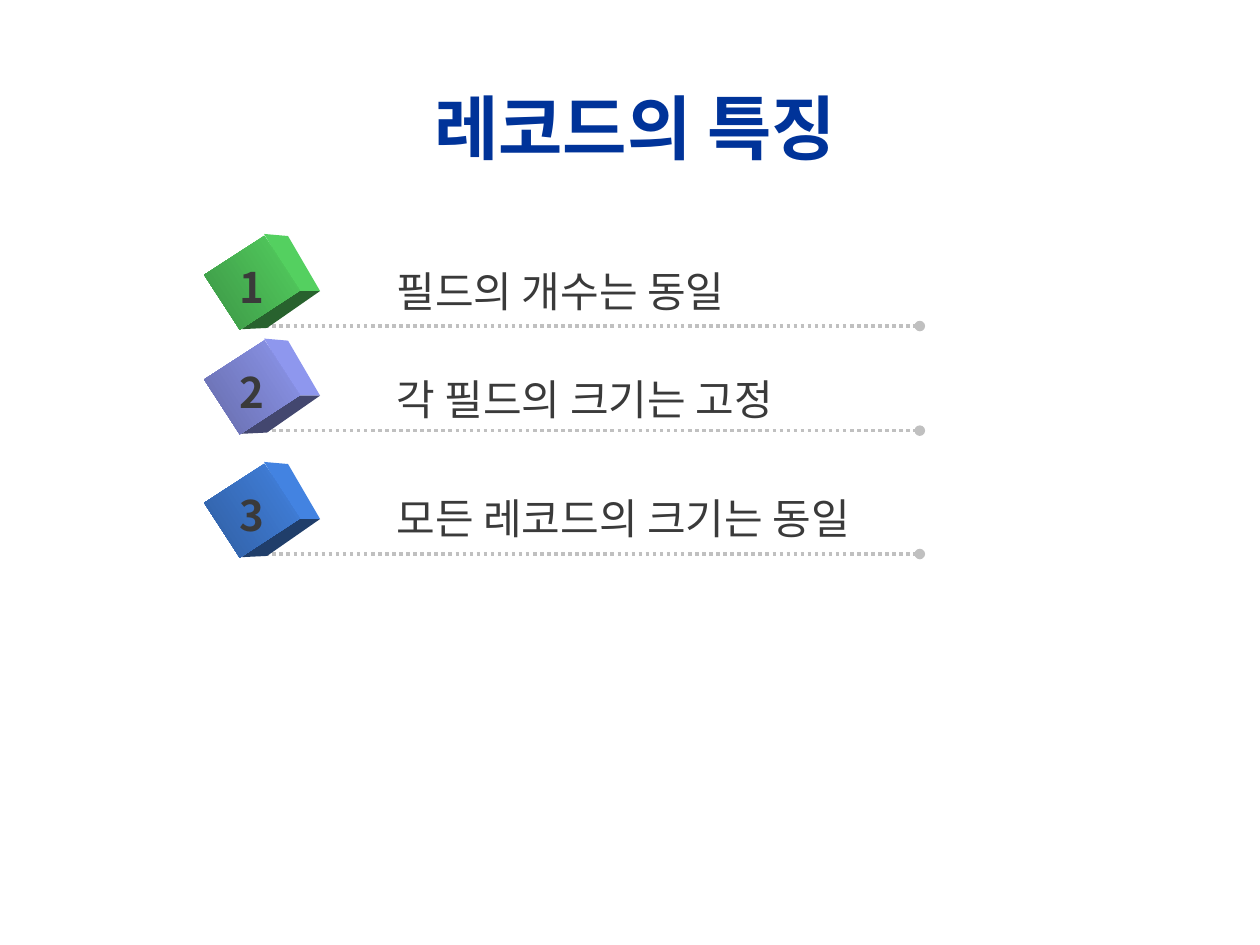
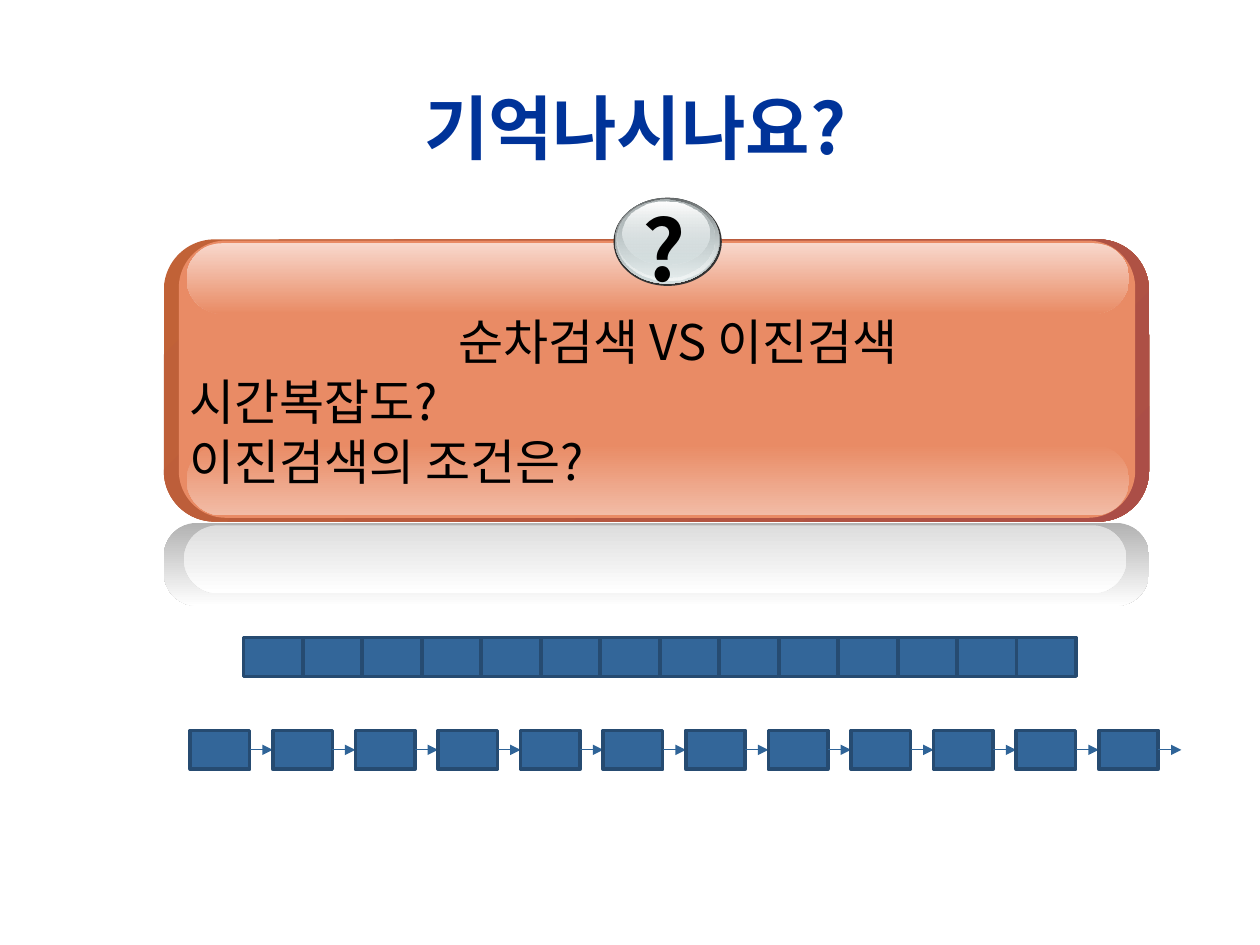
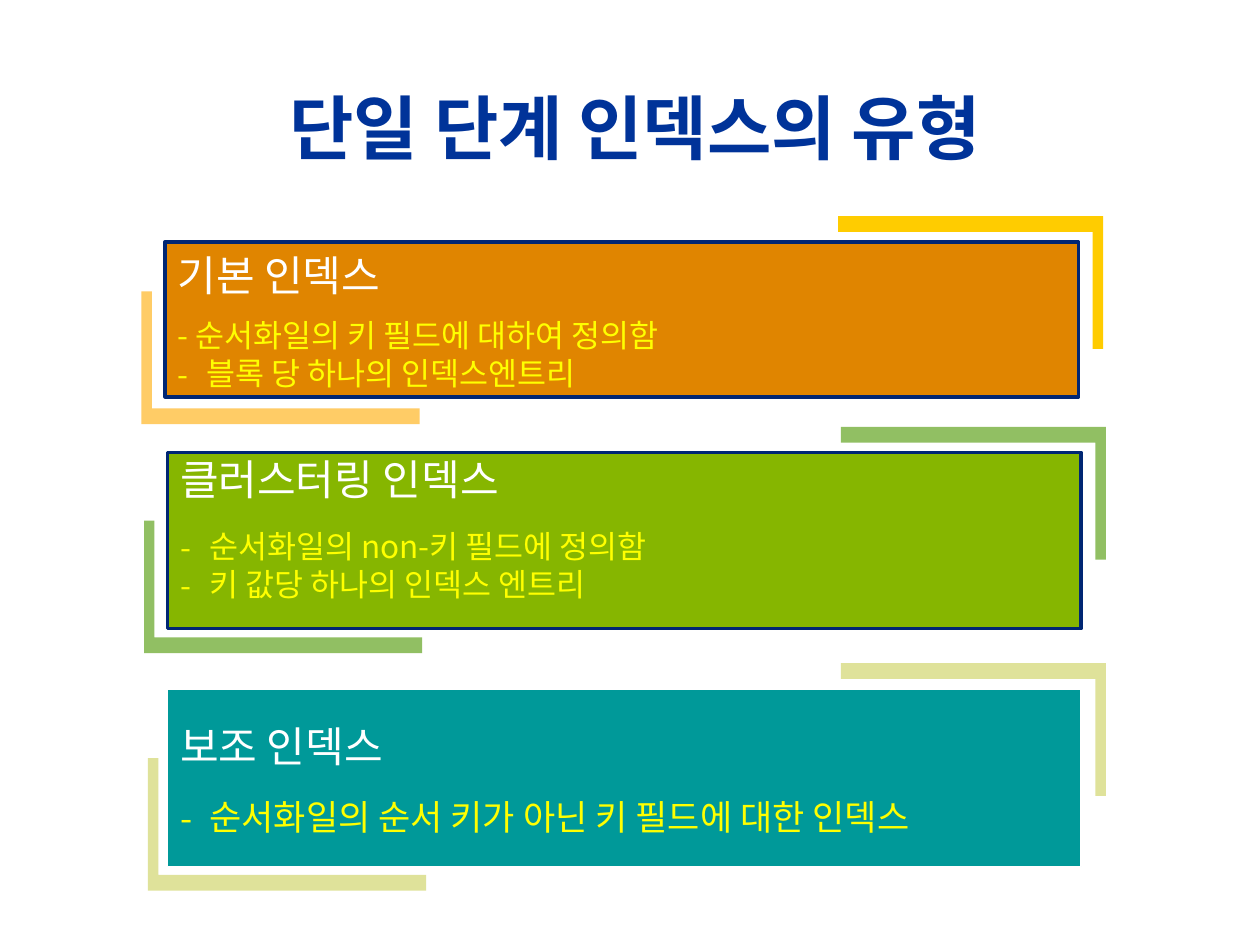
from lxml import etree
from pptx import Presentation
from pptx.dml.color import RGBColor
from pptx.enum.dml import MSO_LINE
from pptx.enum.shapes import MSO_CONNECTOR, MSO_SHAPE
from pptx.enum.text import MSO_ANCHOR, PP_ALIGN
from pptx.oxml.ns import qn
from pptx.util import Pt

RECT, ROUND, OVAL = MSO_SHAPE.RECTANGLE, MSO_SHAPE.ROUNDED_RECTANGLE, MSO_SHAPE.OVAL
DOTS = MSO_LINE.ROUND_DOT
STRAIGHT = MSO_CONNECTOR.STRAIGHT
TOP, MIDDLE = MSO_ANCHOR.TOP, MSO_ANCHOR.MIDDLE
LEFT, CENTER = PP_ALIGN.LEFT, PP_ALIGN.CENTER

FONT = "Noto Sans CJK KR"
HEX = {
    "title": "003399", "ink": "3A3A3A", "black": "000000", "white": "FFFFFF",
    "yellow": "FFFF00", "dots": "C0C0C0", "navy": "002673",
    "cell": "336699", "edge": "264B71", "arrow": "2F6498",
    "coral": "E98B65", "ring": "333333",
}

# Slide 1: text, row top, text top, light, mid and dark cube colours
TRAITS = [
    ("필드의 개수는 동일", 141.1, 146.2, "54D060", "3C9545", "28622E"),
    ("각 필드의 크기는 고정", 200.9, 208.1, "8E97EE", "666CAA", "43476F"),
    ("모든 레코드의 크기는 동일", 271.4, 275.8, "4383E1", "305EA1", "203E6A"),
]
# Cube sides, measured from the left edge of the slide and the row top
SIDES = [
    [(150.9, -7.4), (164.6, -6.2), (182.9, 25.2), (170, 25.2)],
    [(138, 47), (170, 25.2), (182.9, 25.2), (152.6, 46.3)],
]

# Slide 2: (left, top, width, height), corner, fill, gradient angle
# A gradient stop is a colour with an optional opacity in per cent
PANEL = [
    ((93.6, 136.8, 563, 161.3), 0.18, [("C16237",), ("AB4E47",)], 45),
    ((102.2, 137.5, 546.5, 158.4), 0.17, HEX["coral"], 0),
    ((106.6, 254.2, 538.6, 40.3), 0.5, [(HEX["coral"],), ("F2BCA6",)], 90),
    ((106.6, 139, 538.6, 40.3), 0.5, [("F8D8CC",), (HEX["coral"],)], 90),
    ((93.6, 298.8, 563, 47.5), 0.4, [("B2B2B2",), (HEX["white"],)], 90),
    ((105.1, 300.2, 538.6, 38.9), 0.5, [("DDDDDD",), (HEX["white"],)], 90),
]
BADGE = [
    ((350.6, 113, 61.9, 50.4), HEX["ring"]),
    ((351.4, 113, 59.8, 49), [("636869",), ("D6E1E2",)]),
    ((352.1, 113, 58.3, 47.5), [("D6E1E2", 0), ("F1F5F5",)]),
    ((352.8, 113.8, 55.4, 44.6), [("AAB2B3",), ("D6E1E2", 48)]),
    ((355.7, 115.2, 49.7, 36), [("FFFFFF",), ("D6E1E2", 38)]),
]
ASKS = [("순차검색 VS 이진검색", 161.5), ("시간복잡도?", 7.8), ("이진검색의 조건은?", 7.8)]
CELLS, NODES = 14, 12
CELL_W, CELL_H = 34, 22.2

# Slide 3: box, fill, edge, text inset, gap under head, head, item size, items
# An item is (text, has a bullet); then lower and upper bracket places
KINDS = [
    dict(box=(94.3, 138.2, 522, 88.6), fill="E08500", edge=(HEX["navy"], 2),
         inset=4, gap=8.5, head="기본 인덱스", size=18,
         items=[("- 순서화일의 키 필드에 대하여 정의함", False),
                ("블록 당 하나의 인덱스엔트리", True)],
         low=(80.8, 166.6, "FFCC66"), high=(479, 123.6, "FFCC00")),
    dict(box=(95.8, 258.5, 522, 100.8), fill="86B600", edge=(HEX["navy"], 2),
         inset=0, gap=12.8, head="클러스터링 인덱스", size=18,
         items=[("순서화일의 non-키 필드에 정의함", True),
                ("키 값당 하나의 인덱스 엔트리", True)],
         low=(82.3, 297.5, "91BF63"), high=(480.5, 244, "91BF63")),
    dict(box=(95.8, 393.8, 522, 101.5), fill="009999", edge=(HEX["white"], 0.75),
         inset=17.7, gap=13.2, head="보조 인덱스", size=20,
         items=[("순서화일의 순서 키가 아닌 키 필드에 대한 인덱스", True)],
         low=(84.5, 433.2, "DFE29A"), high=(480.5, 379, "DFE29A")),
]


def rgb(code):
    return RGBColor.from_string(code)


def pts(*nums):
    return [Pt(n) for n in nums]


def paint(shape, fill, angle=90, line=None):
    """Fill with a colour or a list of gradient stops; line is (colour, width)."""
    shape.shadow.inherit = False
    if isinstance(fill, str):
        shape.fill.solid()
        shape.fill.fore_color.rgb = rgb(fill)
    else:
        shape.fill.gradient()
        shape.fill.gradient_angle = 360 - angle
        nodes = shape.element.iter(qn("a:gs"))
        for stop, node, (code, *alpha) in zip(shape.fill.gradient_stops, nodes, fill):
            stop.color.rgb = rgb(code)
            if alpha:
                mark = etree.SubElement(node[0], qn("a:alpha"))
                mark.set("val", str(alpha[0] * 1000))
    if line:
        shape.line.color.rgb = rgb(line[0])
        shape.line.width = Pt(line[1])
    else:
        shape.line.fill.background()


def add_form(slide, kind, box, fill, angle=90, line=None):
    shape = slide.shapes.add_shape(kind, *pts(*box))
    paint(shape, fill, angle, line)
    return shape


def add_poly(slide, spots, fill):
    first, *rest = [pts(*spot) for spot in spots]
    pen = slide.shapes.build_freeform(*first)
    pen.add_line_segments(rest)
    paint(pen.convert_to_shape(), fill)


def add_line(slide, ends, color, width, tail, dash=None):
    line = slide.shapes.add_connector(STRAIGHT, *pts(*ends))
    line.line.color.rgb = rgb(color)
    line.line.width = Pt(width)
    if dash:
        line.line.dash_style = dash
    props = line.element.spPr
    etree.SubElement(props.get_or_add_ln(), qn("a:tailEnd")).set("type", tail)
    etree.SubElement(props, qn("a:effectLst"))


def write(par, text, size, color, bold=False, lead=1.22, align=LEFT):
    """Add one run; lead is the line pitch as a share of the size."""
    par.alignment = align
    par.line_spacing = Pt(round(size * lead, 1))
    run = par.add_run()
    run.text = text
    font = run.font
    font.name, font.size, font.bold = FONT, Pt(size), bold
    font.color.rgb = rgb(color)
    east = etree.SubElement(run._r.get_or_add_rPr(), qn("a:ea"))
    east.set("typeface", FONT)


def indent(par, left, bullet=False):
    props = par._p.get_or_add_pPr()
    props.set("marL", str(Pt(left)))
    props.set("indent", str(-Pt(left) if bullet else 0))
    if bullet:
        etree.SubElement(props, qn("a:buFont")).set("typeface", FONT)
        etree.SubElement(props, qn("a:buChar")).set("char", "-")


def add_label(slide, box, text, size, color, bold=False):
    frame = slide.shapes.add_textbox(*pts(*box)).text_frame
    frame.word_wrap = False
    write(frame.paragraphs[0], text, size, color, bold, 1.28)


def add_slide(deck, text):
    slide = deck.slides.add_slide(deck.slide_layouts[5])
    title = slide.shapes.title
    title.left, title.top, title.width, title.height = pts(54, 48.2, 617.8, 41.8)
    title.text_frame.vertical_anchor = MIDDLE
    write(title.text_frame.paragraphs[0], text, 40, HEX["title"], True, 1.37, CENTER)
    return slide


def add_traits(deck):
    slide = add_slide(deck, "레코드의 특징")
    for num, (text, top, text_top, light, mid, dark) in enumerate(TRAITS, 1):
        base = top + 45.2
        add_line(slide, (147.6, base, 525.6, base), HEX["dots"], 2, "oval", DOTS)
        for side, fill in zip(SIDES, (light, dark)):
            add_poly(slide, [(x, top + y) for x, y in side], fill)
        face = add_form(slide, RECT, (125.3, top, 37.4, 41), [(light,), (mid,)])
        face.rotation = 57
        add_label(slide, (219.6, text_top, 305, 36.7), text, 24, HEX["ink"])
        add_label(slide, (129.6, top + 2.9, 29.5, 36.7), str(num), 24, HEX["ink"], True)


def add_quiz(deck):
    slide = add_slide(deck, "기억나시나요?")
    for box, corner, fill, angle in PANEL:
        add_form(slide, ROUND, box, fill, angle).adjustments[0] = corner
    frame = slide.shapes.add_textbox(*pts(93.6, 174, 538.6, 105.8)).text_frame
    frame.word_wrap = True
    for num, (text, left) in enumerate(ASKS):
        par = frame.add_paragraph() if num else frame.paragraphs[0]
        indent(par, left)
        write(par, text, 28, HEX["black"])
    for box, fill in BADGE:
        add_form(slide, OVAL, box, fill)
    add_label(slide, (360, 105.8, 41.8, 65.5), "?", 48, HEX["black"], True)

    edge = (HEX["edge"], 2)
    for col in range(CELLS):
        box = (139 + col * CELL_W, 364.3, CELL_W, CELL_H)
        add_form(slide, RECT, box, HEX["cell"], line=edge)
    step, top = 47.2, 417.4
    mid = top + CELL_H / 2
    for col in range(NODES):
        left = 108.7 + col * step
        add_form(slide, RECT, (left, top, CELL_W, CELL_H), HEX["cell"], line=edge)
        ends = (left + CELL_W, mid, left + step, mid)
        add_line(slide, ends, HEX["arrow"], 0.75, "triangle")


def add_bracket(slide, place, width, turned=False):
    """Draw a corner at lower left, or at upper right if turned."""
    left, top, fill = place
    high, thin, thick = 75.8, 6, 9
    spots = [(0, 0), (0, high), (width, high), (width, high - thick),
             (thin, high - thick), (thin, 0)]
    if turned:
        spots = [(width - x, high - y) for x, y in spots]
    add_poly(slide, [(left + x, top + y) for x, y in spots], fill)


def add_kinds(deck):
    slide = add_slide(deck, "단일 단계 인덱스의 유형")
    for kind in KINDS:
        add_bracket(slide, kind["low"], 159)
        add_bracket(slide, kind["high"], 151.4, True)
        card = add_form(slide, RECT, kind["box"], kind["fill"], line=kind["edge"])
        frame = card.text_frame
        frame.word_wrap = True
        frame.vertical_anchor = TOP
        frame.margin_top, frame.margin_bottom = pts(kind["inset"], 0)
        write(frame.paragraphs[0], kind["head"], 24, HEX["white"])
        for num, (text, bullet) in enumerate(kind["items"]):
            par = frame.add_paragraph()
            if num == 0:
                par.space_before = Pt(kind["gap"])
            if bullet:
                indent(par, 16.7, True)
            write(par, text, kind["size"], HEX["yellow"])


def main():
    deck = Presentation()
    deck.slide_width, deck.slide_height = pts(720, 540)
    add_traits(deck)
    add_quiz(deck)
    add_kinds(deck)
    deck.save("out.pptx")


if __name__ == "__main__":
    main()
